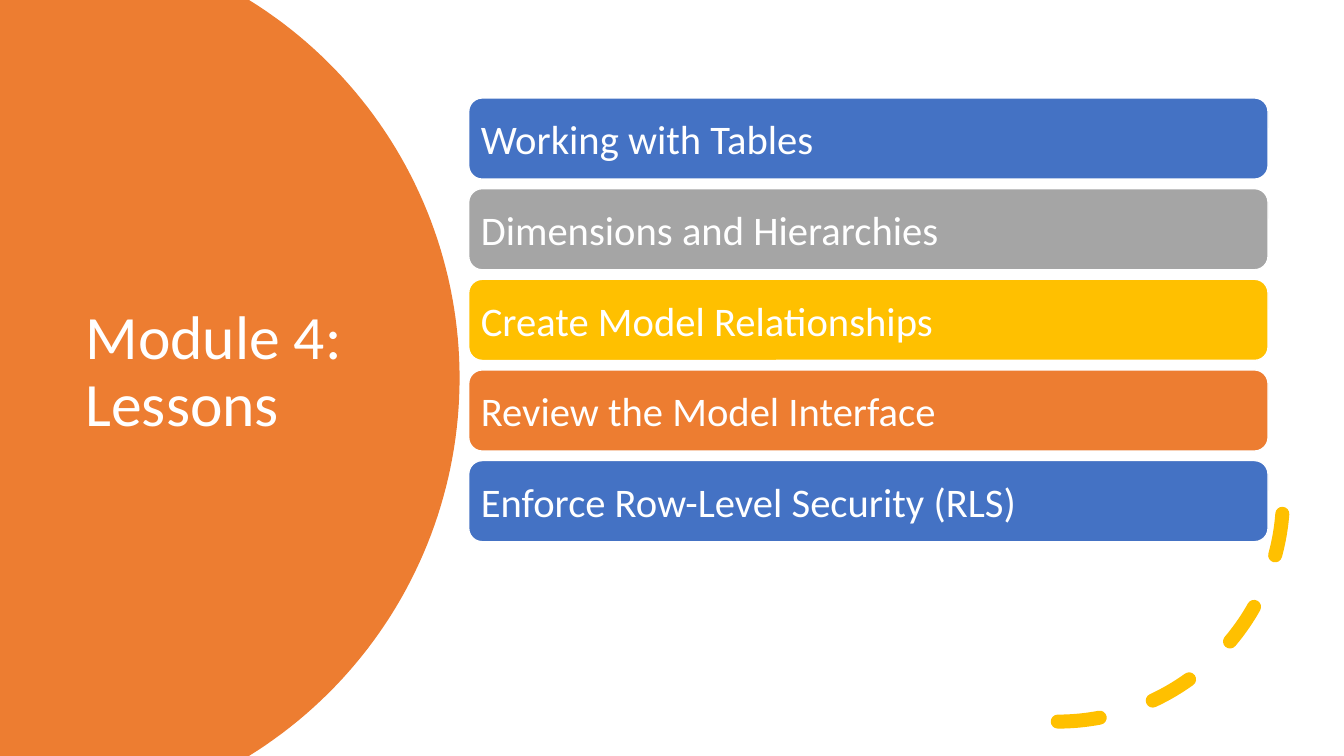
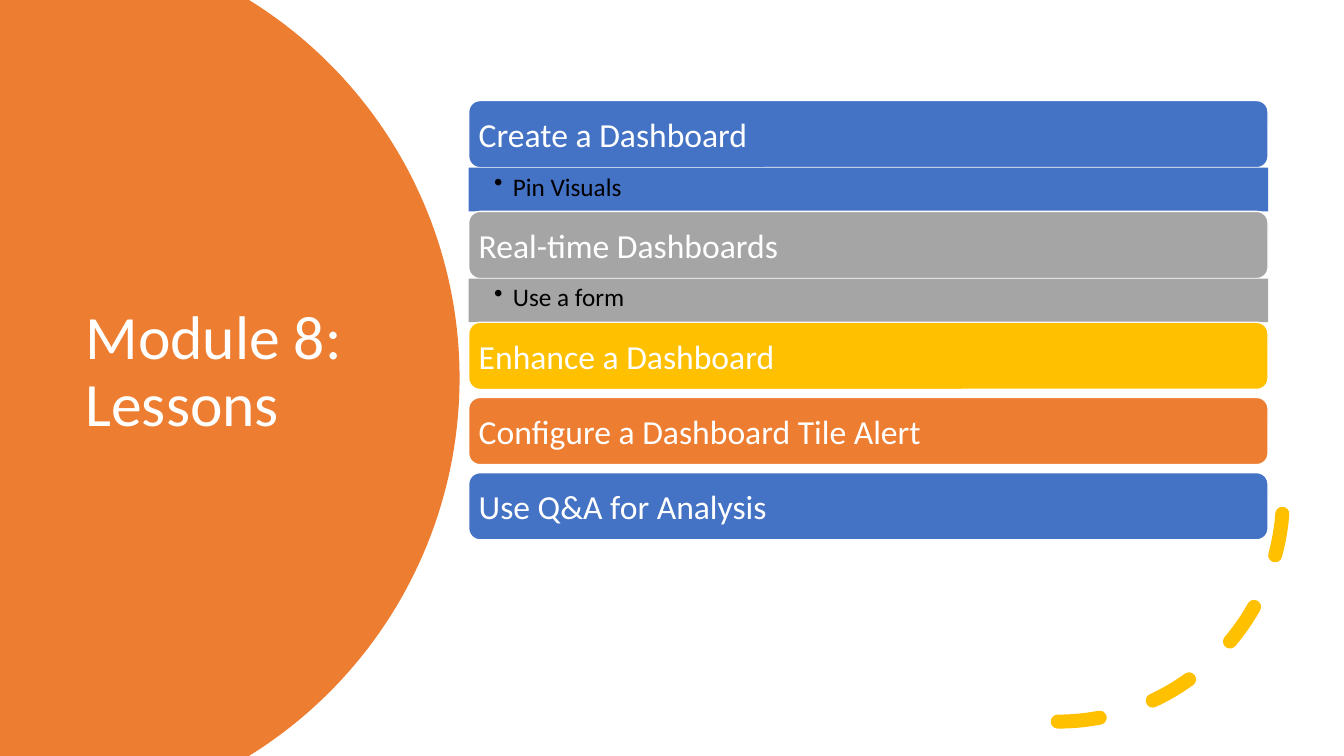
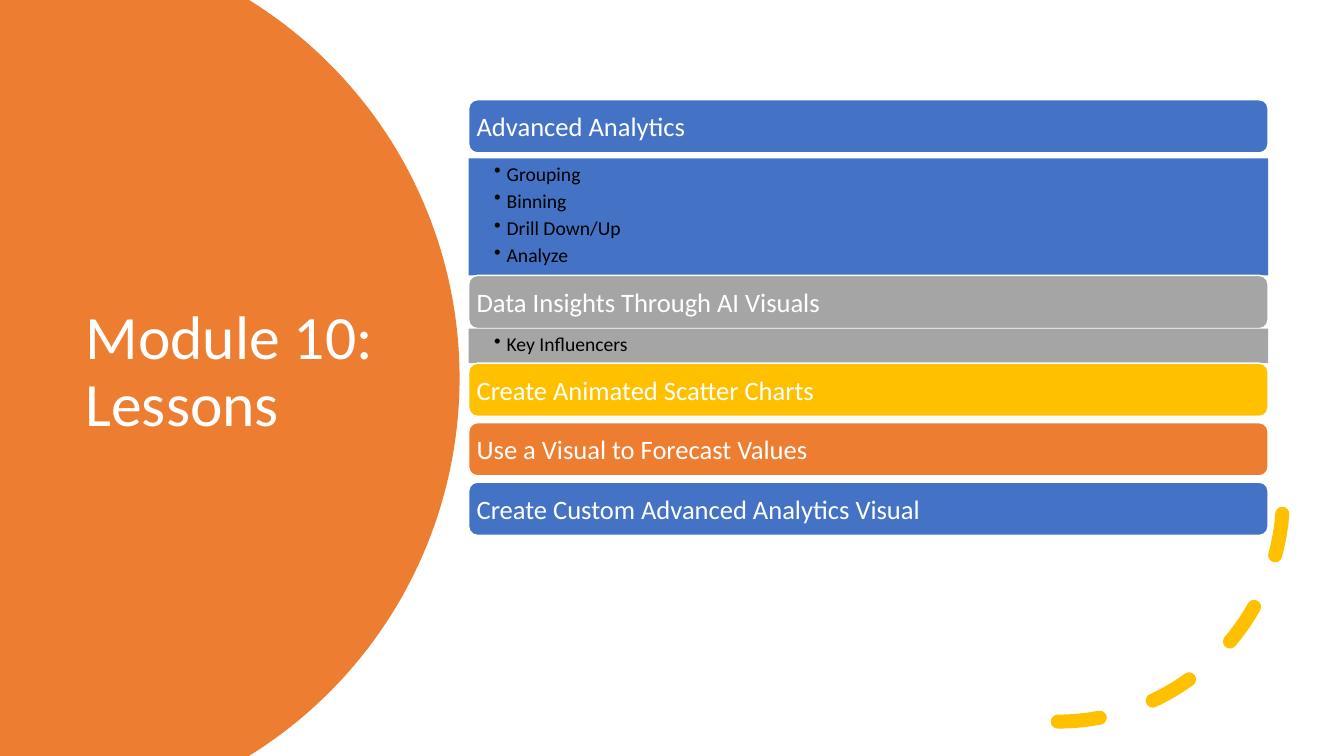
import math
from dataclasses import dataclass

from pptx import Presentation
from pptx.dml.color import RGBColor
from pptx.enum import dml, shapes, text
from pptx.oxml import ns, xmlchemy
from pptx.util import Pt

# Shared style, lengths in points
WIDTH, HEIGHT = 960, 540
FONT = "Calibri"
WHITE, BLACK = "FFFFFF", "000000"
BLUE, GRAY, GOLD, ORANGE = "4472C4", "A5A5A5", "FFC000", "ED7D31"
BAR_COLORS = (BLUE, GRAY, GOLD, ORANGE, BLUE)
BAR_LEFT, BAR_WIDTH = 334.8, 571
CORNER = 0.1667
CORNER_INSET = CORNER * (1 - math.sqrt(0.5))
DISC_X, DISC_RADIUS = 10.8, 317.5
DISC_STEPS = 90


@dataclass
class Lesson:
    title: str
    details: tuple[str, ...] = ()
    details_height: float = 0
    details_gap: float = 0


@dataclass
class Module:
    title: str
    top: float
    bar_height: float
    gap: float
    size: float
    lessons: tuple[Lesson, ...]
    detail_size: float = 0
    hanging: float = 0


MODULES = (
    Module("Module 4: Lessons", 70, 58, 6.75, 29, (
        Lesson("Working with Tables"),
        Lesson("Dimensions and Hierarchies"),
        Lesson("Create Model Relationships"),
        Lesson("Review the Model Interface"),
        Lesson("Enforce Row-Level Security (RLS)"),
    )),
    Module("Module 8: Lessons", 71.8, 48, 5.7, 24, (
        Lesson("Create a Dashboard", ("Pin Visuals",), 31.2),
        Lesson("Real-time Dashboards", ("Use a form",), 31.2),
        Lesson("Enhance a Dashboard"),
        Lesson("Configure a Dashboard Tile Alert"),
        Lesson("Use Q&A for Analysis"),
    ), 18, 13.5),
    Module("Module 10: Lessons", 71.2, 38, 4.5, 19, (
        Lesson("Advanced Analytics",
               ("Grouping", "Binning", "Drill Down/Up", "Analyze"), 83.5, 4),
        Lesson("Data Insights Through AI Visuals", ("Key Influencers",), 24.7),
        Lesson("Create Animated Scatter Charts"),
        Lesson("Use a Visual to Forecast Values"),
        Lesson("Create Custom Advanced Analytics Visual"),
    ), 14, 9),
)


def rgb(color: str) -> RGBColor:
    return RGBColor.from_string(color)


def paint(sp, fill: str, line: str | None = None) -> None:
    sp.shadow.inherit = False
    sp.fill.solid()
    sp.fill.fore_color.rgb = rgb(fill)
    if line:
        sp.line.color.rgb = rgb(line)
        sp.line.width = Pt(1)
    else:
        sp.line.fill.background()


def set_frame(tf, anchor, left: float, top: float, right: float) -> None:
    tf.word_wrap = True
    tf.vertical_anchor = anchor
    tf.margin_left, tf.margin_right = Pt(left), Pt(right)
    tf.margin_top = tf.margin_bottom = Pt(top)


def format_paragraph(p, size: float, color: str) -> None:
    p.alignment = text.PP_ALIGN.LEFT
    for r in p.runs:
        r.font.name = FONT
        r.font.size = Pt(size)
        r.font.color.rgb = rgb(color)


def add_bullet(p, hanging: float) -> None:
    pPr = p._p.get_or_add_pPr()
    pPr.set("marL", str(Pt(hanging)))
    pPr.set("indent", str(-Pt(hanging)))
    bullet = xmlchemy.OxmlElement("a:buChar")
    bullet.set("char", "•")
    pPr.append(bullet)


def add_disc(s) -> None:
    """Circle cut off by the left, top and bottom slide edges."""
    limit = math.asin(HEIGHT / 2 / DISC_RADIUS)
    angles = [limit * (2 * i / DISC_STEPS - 1) for i in range(DISC_STEPS + 1)]
    rim = [(Pt(DISC_X + DISC_RADIUS * math.cos(a)),
            Pt(HEIGHT / 2 + DISC_RADIUS * math.sin(a))) for a in angles]
    outline = s.shapes.build_freeform(0, 0, scale=1.0)
    outline.add_line_segments(rim + [(0, Pt(HEIGHT))], close=True)
    paint(outline.convert_to_shape(), ORANGE)


def add_title(s, title: str) -> None:
    tf = s.shapes.add_textbox(Pt(54), Pt(90.7), Pt(252), Pt(351.4)).text_frame
    set_frame(tf, text.MSO_ANCHOR.MIDDLE, 7.2, 3.6, 7.2)
    p = tf.paragraphs[0]
    p.text = title
    p.line_spacing = 0.9
    format_paragraph(p, 44, WHITE)


def add_dashed_arc(s) -> None:
    sp = s.shapes.add_shape(shapes.MSO_SHAPE.ARC,
                            Pt(594.7), Pt(193.7), Pt(321.8), Pt(321.8))
    sp.shadow.inherit = False
    sp.fill.background()
    sp.line.color.rgb = rgb(GOLD)
    sp.line.width = Pt(10)
    sp.line.dash_style = dml.MSO_LINE.DASH
    spPr = sp._element.spPr
    spPr.find(ns.qn("a:xfrm")).set("flipV", "1")
    spPr.find(ns.qn("a:ln")).set("cap", "rnd")


def add_bar(s, m: Module, title: str, top: float, color: str) -> None:
    sp = s.shapes.add_shape(shapes.MSO_SHAPE.ROUNDED_RECTANGLE, Pt(BAR_LEFT),
                            Pt(top), Pt(BAR_WIDTH), Pt(m.bar_height))
    sp.adjustments[0] = CORNER
    paint(sp, color, WHITE)
    inset = 0.3 * m.size - CORNER_INSET * m.bar_height
    tf = sp.text_frame
    set_frame(tf, text.MSO_ANCHOR.MIDDLE, inset, inset, inset)
    tf.text = title
    format_paragraph(tf.paragraphs[0], m.size, WHITE)


def add_details(s, m: Module, lesson: Lesson, top: float, color: str) -> None:
    sp = s.shapes.add_shape(shapes.MSO_SHAPE.RECTANGLE, Pt(BAR_LEFT), Pt(top),
                            Pt(BAR_WIDTH), Pt(lesson.details_height))
    paint(sp, color)
    tf = sp.text_frame
    set_frame(tf, text.MSO_ANCHOR.TOP, 18.1, 2.2, 12)
    tf.text = "\n".join(lesson.details)
    for p in tf.paragraphs:
        add_bullet(p, m.hanging)
        p.space_after = Pt(0.18 * m.detail_size)
        format_paragraph(p, m.detail_size, BLACK)


def add_module(prs, m: Module) -> None:
    s = prs.slides.add_slide(prs.slide_layouts[6])
    add_disc(s)
    add_title(s, m.title)
    add_dashed_arc(s)
    # Lesson bars, each followed by its details or by a gap
    top = m.top
    for lesson, color in zip(m.lessons, BAR_COLORS):
        add_bar(s, m, lesson.title, top, color)
        top += m.bar_height
        if lesson.details:
            top += lesson.details_gap
            add_details(s, m, lesson, top, color)
            top += lesson.details_height
        else:
            top += m.gap


def main() -> None:
    prs = Presentation()
    prs.slide_width, prs.slide_height = Pt(WIDTH), Pt(HEIGHT)
    for m in MODULES:
        add_module(prs, m)
    prs.save("out.pptx")


if __name__ == "__main__":
    main()
